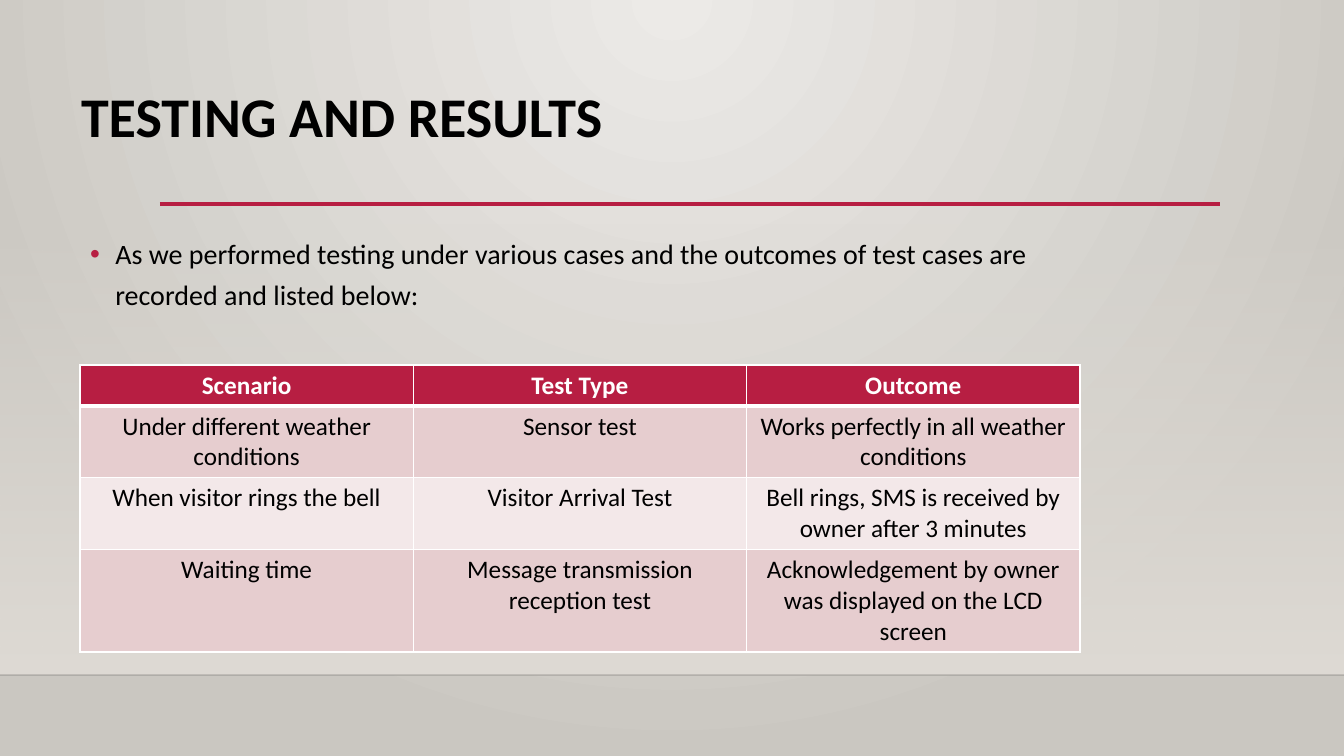
from dataclasses import dataclass

from lxml.etree import SubElement
from pptx import Presentation
from pptx.dml.color import RGBColor
from pptx.enum.shapes import MSO_CONNECTOR, MSO_SHAPE
from pptx.enum.text import MSO_ANCHOR, MSO_AUTO_SIZE, PP_ALIGN
from pptx.oxml import parse_xml
from pptx.oxml.ns import nsdecls, qn
from pptx.util import Emu, Pt


@dataclass(frozen=True)
class Theme:
    font: str = "Calibri"
    title_size: int = 40
    body_size: int = 20
    table_size: int = 18
    text: str = "000000"
    white: str = "FFFFFF"
    accent: str = "B71E42"
    glow: str = "ECEAE7"
    edge: str = "CAC7C1"
    wall: str = "DFDBD5"
    skirting: str = "000001"
    bands: tuple = ("E6CDCF", "F3E8E9")


THEME = Theme()
PX = 914400 / 100.8


def px(*lengths):
    return [Emu(round(length * PX)) for length in lengths]


def add_run(paragraph, text, size, color, bold=False):
    run = paragraph.add_run()
    run.text = text
    run.font.name = THEME.font
    run.font.size = Pt(size)
    run.font.bold = bold
    run.font.color.rgb = RGBColor.from_string(color)


deck = Presentation()
deck.slide_width, deck.slide_height = px(1344, 756)
slide = deck.slides.add_slide(deck.slide_layouts[1])

# Background glow from the top centre
backdrop = slide.background.fill
backdrop.gradient()
for stop, color in zip(backdrop.gradient_stops, (THEME.glow, THEME.edge)):
    stop.color.rgb = RGBColor.from_string(color)
glow = slide.element.find(".//" + qn("a:gradFill"))
glow.remove(glow.find(qn("a:lin")))
circle = SubElement(glow, qn("a:path"), path="circle")
SubElement(circle, qn("a:fillToRect"), l="43000", t="0", r="43000", b="100000")

# Wall that fades in downwards, its skirting line, and the rule under the title
wall = slide.shapes.add_shape(MSO_SHAPE.RECTANGLE, *px(0, 223, 1344, 452))
wall.shadow.inherit = False
wall.line.fill.background()
wall.fill.gradient()
wall.fill.gradient_angle = 270
for stop in wall.fill.gradient_stops:
    stop.color.rgb = RGBColor.from_string(THEME.wall)
SubElement(wall.element.find(".//" + qn("a:srgbClr")), qn("a:alpha"), val="0")

scenery = [wall]
for left, right, y, color, weight in (
    (0, 1344, 675, THEME.skirting, 1),
    (160, 1220, 204, THEME.accent, 2.5),
):
    rule = slide.shapes.add_connector(MSO_CONNECTOR.STRAIGHT, *px(left, y, right, y))
    rule.line.color.rgb = RGBColor.from_string(color)
    rule.line.width = Pt(weight)
    SubElement(rule.element.spPr, qn("a:effectLst"))
    scenery.append(rule)
skirting = scenery[1].element.find(".//" + qn("a:srgbClr"))
SubElement(skirting, qn("a:alpha"), val="20000")

# The scenery lies behind the placeholders
for depth, piece in enumerate(scenery, start=2):
    slide.shapes.element.insert(depth, piece.element)

# Title and introduction
title, intro = slide.placeholders
for holder, box in ((title, (71, 84, 1058, 116)), (intro, (80, 225, 1058, 380))):
    holder.left, holder.top, holder.width, holder.height = px(*box)
    holder.text_frame.auto_size = MSO_AUTO_SIZE.NONE
    holder.text_frame.vertical_anchor = MSO_ANCHOR.TOP

heading = title.text_frame.paragraphs[0]
heading.alignment = PP_ALIGN.LEFT
heading.line_spacing = 0.9
add_run(heading, "TESTING AND RESULTS", THEME.title_size, THEME.text, bold=True)

summary = intro.text_frame.paragraphs[0]
summary.line_spacing = 1.2
summary.space_before = Pt(10)
add_run(
    summary,
    "As we performed testing under various cases and the outcomes of test cases are "
    "recorded and listed below:",
    THEME.body_size,
    THEME.text,
)
bullet = summary._p.get_or_add_pPr()
bullet.set("marL", "228600")
bullet.set("indent", "-228600")
SubElement(SubElement(bullet, qn("a:buClr")), qn("a:srgbClr"), val=THEME.accent)
SubElement(bullet, qn("a:buFont"), typeface="Arial")
SubElement(bullet, qn("a:buChar"), char="•")

# Test cases
test_cases = (
    ("Scenario", "Test Type", "Outcome"),
    ("Under different weather conditions", "Sensor test",
     "Works perfectly in all weather conditions"),
    ("When visitor rings the bell", "Visitor Arrival Test",
     "Bell rings, SMS is received by owner after 3 minutes"),
    ("Waiting time", "Message transmission reception test",
     "Acknowledgement by owner was displayed on the LCD screen"),
)
row_heights = (41, 71, 72, 102)
results = slide.shapes.add_table(
    len(test_cases), 3, *px(80, 365, 1000, sum(row_heights))
).table
for row_index, (test_case, height) in enumerate(zip(test_cases, row_heights)):
    results.rows[row_index].height = px(height)[0]
    is_header = row_index == 0
    fill = THEME.accent if is_header else THEME.bands[(row_index - 1) % 2]
    color = THEME.white if is_header else THEME.text
    for column_index, text in enumerate(test_case):
        cell = results.cell(row_index, column_index)
        cell.fill.solid()
        cell.fill.fore_color.rgb = RGBColor.from_string(fill)
        paragraph = cell.text_frame.paragraphs[0]
        paragraph.alignment = PP_ALIGN.CENTER
        add_run(paragraph, text, THEME.table_size, color, bold=is_header)
        for order, side in enumerate("LRTB"):
            heavy = (row_index, side) in ((0, "B"), (1, "T"))
            border = parse_xml(
                f'<a:ln{side} {nsdecls("a")} w="{Pt(3 if heavy else 1)}"><a:solidFill>'
                f'<a:srgbClr val="{THEME.white}"/></a:solidFill></a:ln{side}>'
            )
            cell._tc.get_or_add_tcPr().insert(order, border)

deck.save("out.pptx")
